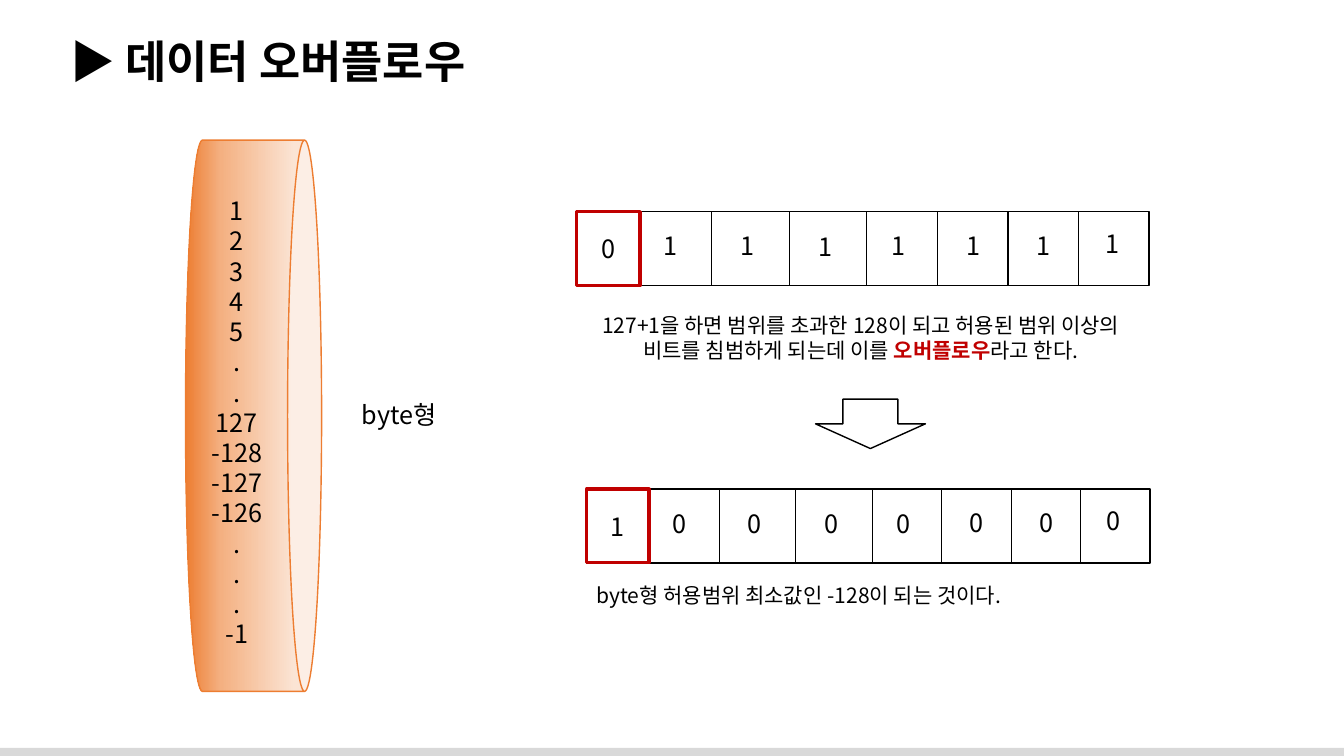
import pptx
import pptx.util
import pptx.dml.color
import pptx.enum.shapes
import pptx.enum.text
import pptx.oxml
import pptx.oxml.ns
from lxml import etree

Pt = pptx.util.Pt
RGB = pptx.dml.color.RGBColor
SHAPE = pptx.enum.shapes.MSO_SHAPE
ALIGN = pptx.enum.text.PP_ALIGN
qn = pptx.oxml.ns.qn

FONT = "Noto Sans CJK KR"
BLACK = RGB(0x00, 0x00, 0x00)
RED = RGB(0xC0, 0x00, 0x00)
ORANGE = RGB(0xED, 0x7D, 0x31)
PEACH = RGB(0xF4, 0xB0, 0x81)
CREAM = RGB(0xFB, 0xE4, 0xD4)
GRAY = RGB(0xD9, 0xD9, 0xD9)

deck = pptx.Presentation()
deck.slide_width, deck.slide_height = Pt(960), Pt(540)
slide = deck.slides.add_slide(deck.slide_layouts[6])
shapes = slide.shapes


def write(frame, lines, size, align=ALIGN.LEFT, bold=False):
    """Fill a text frame; each line is a list of (text, is_key) runs."""
    frame.word_wrap = True
    for i, line in enumerate(lines):
        par = frame.add_paragraph() if i else frame.paragraphs[0]
        par.alignment = align
        font = par.font
        font.size, font.name, font.bold = Pt(size), FONT, bold
        font.color.rgb = BLACK
        props = par._p.pPr.find(qn("a:defRPr"))
        etree.SubElement(props, qn("a:ea")).set("typeface", FONT)
        for text, key in line:
            run = par.add_run()
            run.text = text
            if key:
                run.font.bold = True
                run.font.color.rgb = RED


def draw(kind, left, top, width, height, color=None, weight=1):
    """Add an unfilled shape, outlined if a color is given."""
    shape = shapes.add_shape(kind, Pt(left), Pt(top), Pt(width), Pt(height))
    shape.shadow.inherit = False
    shape.fill.background()
    if color is None:
        shape.line.fill.background()
    else:
        shape.line.color.rgb = color
        shape.line.width = Pt(weight)
    return shape


footer = draw(SHAPE.RECTANGLE, 0, 534.2, 960, 5.8)
footer.fill.solid()
footer.fill.fore_color.rgb = GRAY

# Cylinder of byte values
can = draw(SHAPE.CAN, -15.8, 248.4, 393.8, 97.2, ORANGE)
can.rotation = 90
can.adjustments[0] = 0.25
can.fill.gradient()
can.fill.gradient_angle = 270
stops = can._element.spPr.find(qn("a:gradFill")).find(qn("a:gsLst"))
for stop in list(stops):
    stops.remove(stop)
for pos, color in ((0, CREAM), (20, CREAM), (74, PEACH), (100, ORANGE)):
    stop = etree.SubElement(stops, qn("a:gs"), pos=str(pos * 1000))
    etree.SubElement(stop, qn("a:srgbClr"), val=str(color))

# Title, values and captions
values = "1 2 3 4 5 . . 127 -128 -127 -126 . . . -1".split()
story = [("127+1을 하면 범위를 초과한 128이 되고 허용된 범위 이상의 비트를 침범하게 되는데 이를 ", False),
         ("오버플로우", True), ("라고 한다.", False)]
texts = [
    (43.2, 20.2, 907, 46, [[("▶ 데이터 오버플로우", False)]], 32, ALIGN.LEFT, True),
    (132.5, 136, 73.4, 356.4, [[(v, False)] for v in values], 18, ALIGN.CENTER, False),
    (251.3, 281.5, 68.4, 28.8, [[("byte형", False)]], 18, ALIGN.LEFT, False),
    (402.5, 219.6, 424.8, 44, [story], 15, ALIGN.CENTER, False),
    (419, 412.6, 509, 25.2,
     [[("byte형 허용범위 최소값인 -128이 되는 것이다.", False)]], 15, ALIGN.LEFT, False),
]
for left, top, width, height, lines, size, align, bold in texts:
    box = shapes.add_textbox(Pt(left), Pt(top), Pt(width), Pt(height))
    write(box.text_frame, lines, size, align, bold)

# Bit rows: the lower one is the upper one, slightly narrowed
EDGES = (45.4, 96.5, 151.9, 207.4, 257.8, 308.2, 358.6)
MIDS = (67.3, 122, 177.5, 230, 283.3, 333.7, 382.7)
RISES = (10, 10, 10.3, 10, 9.8, 9.8, 8.2)
HIGH = 52.8
for left, top, scale, bits in ((411.8, 151.2, 1, "01111111"),
                               (419, 349.3, 0.984, "10000000")):
    draw(SHAPE.RECTANGLE, left, top, 409 * scale, HIGH, BLACK)
    for edge in EDGES:
        x = Pt(left + edge * scale)
        line = shapes.add_connector(pptx.enum.shapes.MSO_CONNECTOR.STRAIGHT,
                                    x, Pt(top), x, Pt(top + HIGH))
        line.line.color.rgb = BLACK
        line.line.width = Pt(0.75)
        etree.SubElement(line._element.spPr, qn("a:effectLst"))
    sign = draw(SHAPE.RECTANGLE, left, top, EDGES[0] * scale, HIGH, RED, 2.25)
    sign.text_frame.vertical_anchor = pptx.enum.text.MSO_ANCHOR.MIDDLE
    write(sign.text_frame, [[(bits[0], False)]], 18, ALIGN.CENTER)
    for bit, mid, rise in zip(bits[1:], MIDS, RISES):
        wide = 35.3 * scale
        box = shapes.add_textbox(Pt(left + mid * scale - wide / 2), Pt(top + rise),
                                 Pt(wide), Pt(28.8))
        write(box.text_frame, [[(bit, False)]], 18, ALIGN.CENTER)

draw(SHAPE.DOWN_ARROW, 582.5, 285.1, 78.5, 35.3, BLACK)

deck.save("out.pptx")
